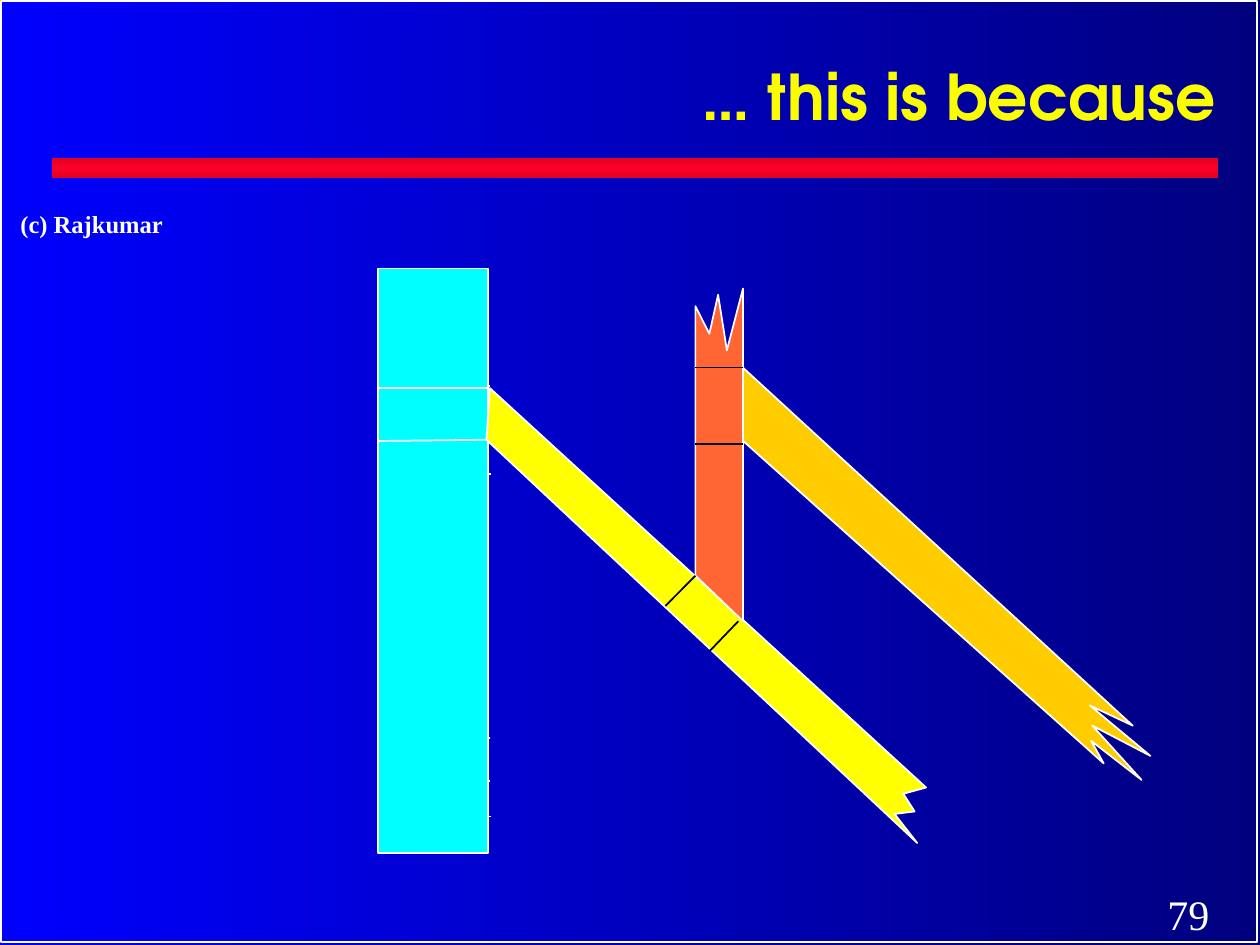
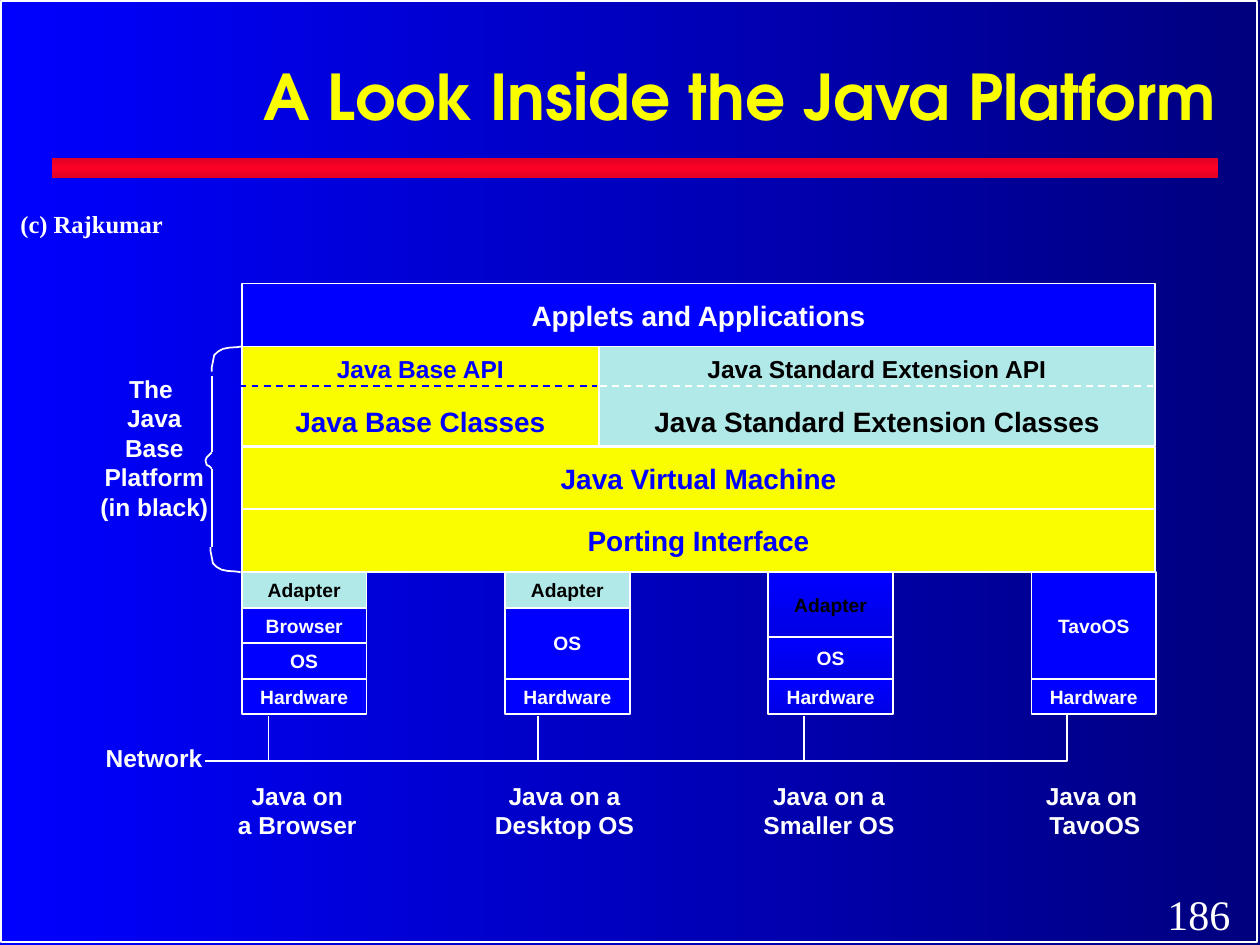
"""Build two slides: a sketch of joined beams and the layers of the Java platform."""
from copy import deepcopy

from lxml.etree import SubElement
from pptx import Presentation
from pptx.dml.color import RGBColor
from pptx.enum.dml import MSO_LINE
from pptx.enum.shapes import MSO_CONNECTOR, MSO_SHAPE
from pptx.enum.text import MSO_ANCHOR as ANCHOR, MSO_AUTO_SIZE as AUTO_SIZE, PP_ALIGN as ALIGN
from pptx.oxml.ns import qn
from pptx.util import Pt

COLORS = {
    "white": "FFFFFF", "black": "000000", "blue": "0000FF", "deep blue": "0000E4",
    "navy": "00007E", "title": "FAFD00", "red": "FC0128", "dark red": "E10023",
    "pale": "B1E9E8", "cyan": "00FFFF", "yellow": "FFFF00", "orange": "FF6633",
    "gold": "FFCC00",
}
RGB = {name: RGBColor.from_string(value) for name, value in COLORS.items()}
SERIF, SANS, DISPLAY = "Times New Roman", "Arial", "TeX Gyre Adventor"


def add_box(slide, area, text="", size=14, color="white", fill=None, line=None,
            font=SANS, bold=True, align=ALIGN.CENTER, wrap=False):
    area = [Pt(length) for length in area]
    if fill or line:
        box = slide.shapes.add_shape(MSO_SHAPE.RECTANGLE, *area)
        box.shadow.inherit = False
        if isinstance(fill, tuple):
            box.fill.gradient()
            box.fill.gradient_angle = 270
            stop_list = box.element.xpath(".//a:gsLst")[0]
            for _ in fill[2:]:
                stop_list.insert(1, deepcopy(stop_list[0]))
            for i, (stop, name) in enumerate(zip(box.fill.gradient_stops, fill)):
                stop.position = i / (len(fill) - 1)
                stop.color.rgb = RGB[name]
        elif fill:
            box.fill.solid()
            box.fill.fore_color.rgb = RGB[fill]
        else:
            box.fill.background()
        if line:
            box.line.color.rgb = RGB[line]
            box.line.width = Pt(1)
        else:
            box.line.fill.background()
    else:
        box = slide.shapes.add_textbox(*area)
    if text:
        frame = box.text_frame
        frame.text = text
        frame.word_wrap = wrap
        frame.vertical_anchor = ANCHOR.MIDDLE if fill else ANCHOR.TOP
        for paragraph in frame.paragraphs:
            paragraph.alignment = align
            for run in paragraph.runs:
                run.font.name = font
                run.font.size = Pt(size)
                run.font.bold = bold
                run.font.color.rgb = RGB[color]
    return box


def draw(slide, points, color="white", fill=None, dash=None):
    points = [(Pt(x), Pt(y)) for x, y in points]
    if len(points) == 2:
        stroke = slide.shapes.add_connector(MSO_CONNECTOR.STRAIGHT, *points[0], *points[1])
    else:
        builder = slide.shapes.build_freeform(*points[0])
        builder.add_line_segments(points[1:], close=bool(fill))
        stroke = builder.convert_to_shape()
        if fill:
            stroke.fill.solid()
            stroke.fill.fore_color.rgb = RGB[fill]
        else:
            stroke.fill.background()
    stroke.line.color.rgb = RGB[color]
    stroke.line.width = Pt(1)
    if dash:
        stroke.line.dash_style = dash
    SubElement(stroke.element.spPr, qn("a:effectLst"))


prs = Presentation()
prs.slide_width, prs.slide_height = Pt(720), Pt(540)

slides = []
for heading, title_left, number in [
    ("… this is because", 195, "79"),
    ("A Look Inside the Java Platform", 126, "186"),
]:
    slide = prs.slides.add_slide(prs.slide_layouts[5])
    slides.append(slide)
    backdrop = slide.background.fill
    backdrop.gradient()
    backdrop.gradient_angle = 180
    for stop, name in zip(backdrop.gradient_stops, ("navy", "blue")):
        stop.color.rgb = RGB[name]

    title = slide.shapes.title
    title.left, title.top = Pt(title_left), Pt(12)
    title.width, title.height = Pt(702 - title_left), Pt(90)
    title.text_frame.text = heading
    title.text_frame.word_wrap = True
    title.text_frame.auto_size = AUTO_SIZE.NONE
    title.text_frame.vertical_anchor = ANCHOR.MIDDLE
    paragraph = title.text_frame.paragraphs[0]
    paragraph.alignment = ALIGN.RIGHT
    paragraph.line_spacing = 0.9
    font = paragraph.runs[0].font
    font.name, font.size, font.bold = DISPLAY, Pt(36), True
    font.color.rgb = RGB["title"]

    add_box(slide, (0.7, 0.7, 717.8, 537.8), line="white")
    add_box(slide, (30, 90, 666, 12), fill=("dark red", "red", "dark red"))
    add_box(slide, (660, 504, 54, 36), number, 24, font=SERIF, bold=False,
            align=ALIGN.LEFT, wrap=True)
    add_box(slide, (4.6, 116, 96, 24), "(c) Rajkumar", font=SERIF, align=ALIGN.LEFT)

beams, platform = slides

for left, y in [(216, 189.4), (216.7, 220.7), (215.3, 247), (216.7, 421.6),
                (216.7, 446.4), (217.4, 466.6), (217.4, 270.7)]:
    draw(beams, [(left, y), (left + 63.4, y)])
add_box(beams, (216.2, 153.4, 62.8, 334), fill="cyan", line="white")
draw(beams, [(278.6, 221.8), (215.3, 221.8)])
draw(beams, [(280, 221.8), (529.2, 450), (516.2, 453.6), (522.7, 463.7),
             (511.2, 465.1), (524.2, 481.7), (278, 251.3)], fill="yellow")
draw(beams, [(278, 251.3), (216, 252)])
draw(beams, [(397.4, 329), (397.4, 175), (405.4, 190.8), (410.4, 168.5),
             (415.4, 200.2), (424.6, 164.9), (424.6, 355)], fill="orange")
draw(beams, [(424.6, 210.2), (647.3, 414.7), (622.8, 403.2), (657.4, 432),
             (624.2, 414.7), (652.3, 445.7), (623.5, 423.4), (630.7, 436.3),
             (424.6, 252)], fill="gold")
for joint in [
    [(397.4, 329), (380.2, 346.3)],
    [(421.9, 355), (405.4, 372.2)],
    [(424.6, 210), (397.4, 210)],
    [(424.6, 253.6), (397.4, 253.6)],
]:
    draw(beams, joint, "black")

LEFT, WIDTH, BASE = 138.2, 522, 327
for layer, top, color, fill in [
    ("Java Virtual Machine", 255.4, "blue", "title"),
    ("Porting Interface", 291, "blue", "title"),
    ("Applets and Applications", 162, "white", "blue"),
]:
    add_box(platform, (LEFT, top, WIDTH, 36), layer, 16, color, fill, "white")

for library, left, width, color, fill in [
    ("Java Base", LEFT, 204, "blue", "title"),
    ("Java Standard Extension", 342.2, 318, "black", "pale"),
]:
    classes = add_box(platform, (left, 198, width, 57),
                      f"{library} API\n{library} Classes", 16, color, fill, "white")
    api = classes.text_frame.paragraphs[0]
    api.space_after = Pt(12)
    api.runs[0].font.size = Pt(14)
draw(platform, [(342.7, 220.5), (658.8, 220.5)], dash=MSO_LINE.DASH)
draw(platform, [(136.8, 220.5), (341.3, 220.5)], "blue", dash=MSO_LINE.DASH)

UNIT = 20.3
shaded = ("blue", "deep blue")
stacks = [
    [("Adapter", UNIT, "black", "pale"), ("Browser", UNIT, "white", "blue"),
     ("OS", UNIT, "white", "blue"), ("Hardware", UNIT, "white", "blue")],
    [("Adapter", UNIT, "black", "pale"), ("OS", 2 * UNIT, "white", "blue"),
     ("Hardware", UNIT, "white", "blue")],
    [("Adapter", 37, "black", shaded), ("OS", 3 * UNIT - 37, "white", shaded),
     ("Hardware", UNIT, "white", shaded)],
    [("TavoOS", 3 * UNIT, "white", "blue"), ("Hardware", UNIT, "white", "blue")],
]
for column, stack in enumerate(stacks):
    top = BASE
    for part, height, color, fill in stack:
        add_box(platform, (LEFT + 150.4 * column, top, 71.3, height), part, 11,
                color, fill, "white")
        top += height

brace_top = [(121, 212.4), (121, 210), (121.7, 206.6), (122.4, 203), (124.6, 200.9),
             (127.4, 199.4), (131, 198.7), (135.4, 198.4), (138.2, 198)]
draw(platform, brace_top)
draw(platform, [(x - 0.7, 525 - y) for x, y in brace_top])
draw(platform, [(121, 258.5), (118.1, 261.4), (117.4, 263.2), (118.1, 265.7),
                (119.5, 266.4), (121, 267.8)])
for start, end in [(214.6, 258.5), (267.8, 312.5)]:
    draw(platform, [(121, start), (121, end)])
add_box(platform, (47.4, 210.2, 81.6, 90.7), "The \nJava\nBase\nPlatform\n(in black)")

draw(platform, [(117.4, 434.9), (609.8, 434.9), (609.8, 408.2)])
for x in (153.4, 307.4, 459.4):
    draw(platform, [(x, 409), (x, 434.2)])
add_box(platform, (53.3, 421.2, 69.8, 24), "Network", align=ALIGN.LEFT)
for caption, left, width in [
    ("Java on\na Browser", 125.9, 88),
    ("Java on a\nDesktop OS", 272.8, 99.6),
    ("Java on a\nSmaller OS", 426.1, 95.3),
    ("Java on \nTavoOS", 587.4, 76.6),
]:
    add_box(platform, (left, 442.8, width, 40.3), caption)

prs.save("out.pptx")
